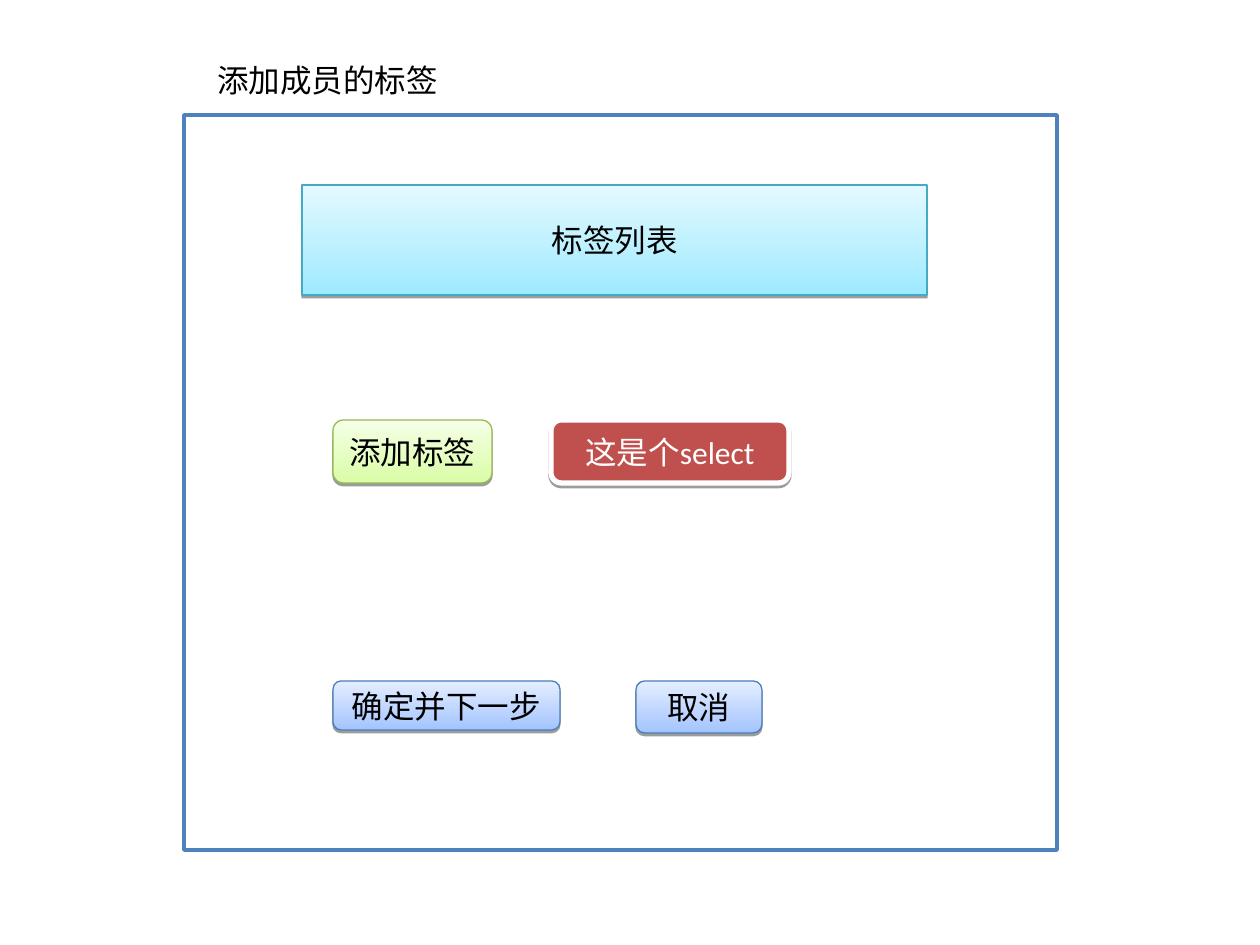
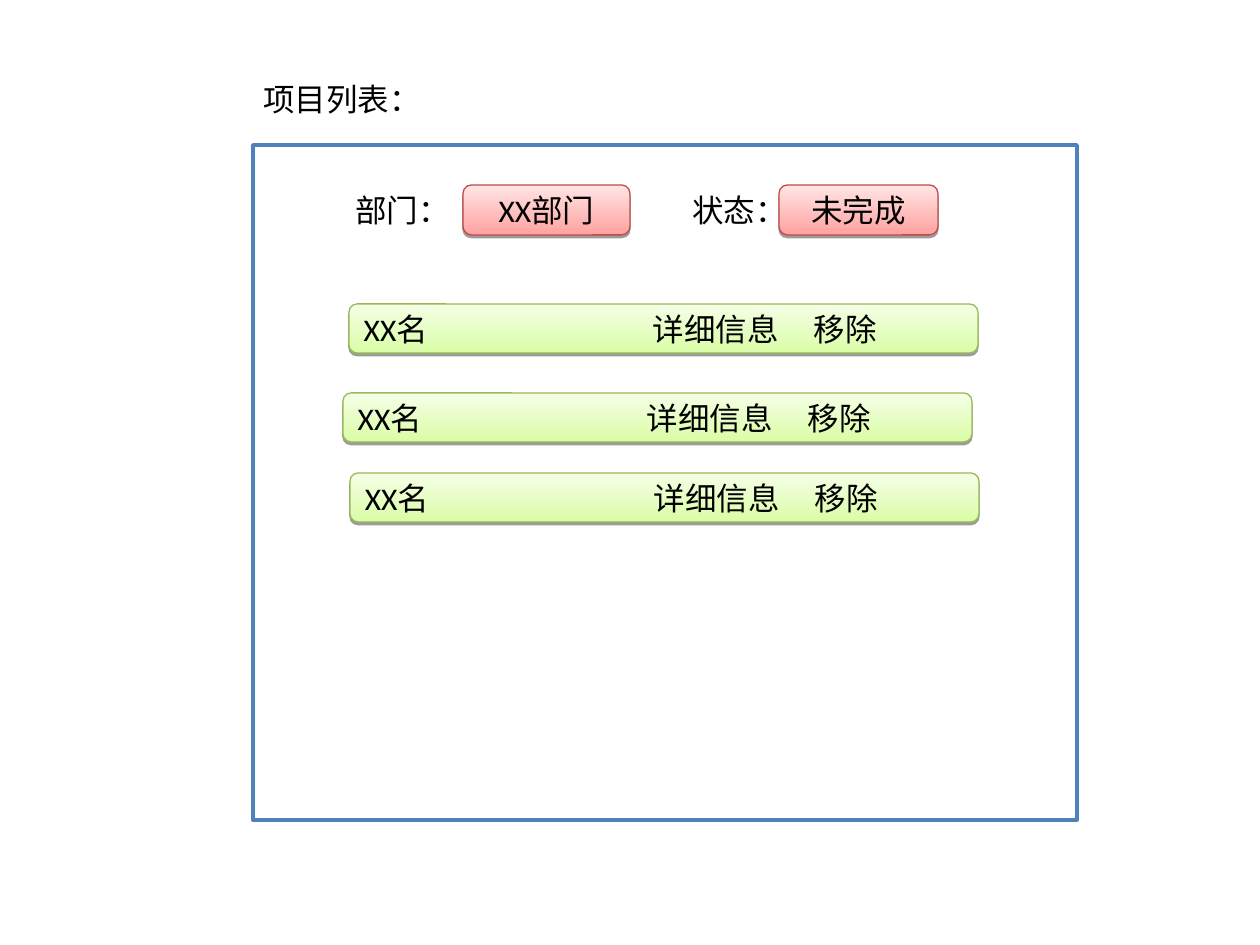
from lxml.etree import SubElement
from pptx import Presentation
from pptx.dml.color import RGBColor
from pptx.enum.shapes import MSO_SHAPE
from pptx.enum.text import MSO_ANCHOR, MSO_AUTO_SIZE, PP_ALIGN
from pptx.oxml.ns import qn
from pptx.util import Emu, Pt

# Shared look
BLACK = RGBColor(0x00, 0x00, 0x00)
WHITE = RGBColor(0xFF, 0xFF, 0xFF)
FRAME_BLUE = RGBColor(0x4F, 0x81, 0xBD)
FONT, FONT_SIZE = "Calibri", Pt(18)
SLIDE_SIZE = (1260, 945)

# Style: (fill colours from bottom to top, line colour, line points, text colour)
GREEN = ((RGBColor(0xDA, 0xFD, 0xA7), RGBColor(0xF5, 0xFF, 0xE6)),
         RGBColor(0x98, 0xB9, 0x54), 0.75, BLACK)
CYAN = ((RGBColor(0x9E, 0xEA, 0xFF), RGBColor(0xE4, 0xF9, 0xFF)),
        RGBColor(0x46, 0xAA, 0xC5), 0.75, BLACK)
BLUE = ((RGBColor(0xA3, 0xC4, 0xFF), RGBColor(0xE5, 0xEE, 0xFF)),
        RGBColor(0x4A, 0x7E, 0xBB), 0.75, BLACK)
PINK = ((RGBColor(0xFF, 0xA2, 0xA1), RGBColor(0xFF, 0xE5, 0xE5)),
        RGBColor(0xBE, 0x4B, 0x48), 0.75, BLACK)
RED = ((RGBColor(0xC0, 0x50, 0x4D),), WHITE, 3, WHITE)

# Project rows: three columns, each row with its own left and top
ROW_TEXT = "XX名\t详细信息\t移除"
ROW_TABS = (289, 450)
ROW_SIZE = (629, 49)
ROW_STARTS = [(349, 304), (343, 393), (350, 473)]

ROUND, RECT = MSO_SHAPE.ROUNDED_RECTANGLE, MSO_SHAPE.RECTANGLE

# Boxes are (left, top, width, height) in px
SCREENS = [
    {
        "frame": (184, 115, 873, 735),
        "labels": [("添加成员的标签", (205, 55, 246, 50))],
        "buttons": [
            ("添加标签", (333, 420, 159, 63), GREEN, ROUND),
            ("标签列表", (302, 185, 625, 110), CYAN, RECT),
            ("这是个select", (551, 420, 238, 63), RED, ROUND),
            ("确定并下一步", (333, 681, 227, 49), BLUE, ROUND),
            ("取消", (636, 681, 126, 52), BLUE, ROUND),
        ],
    },
    {
        "frame": (253, 145, 824, 675),
        "labels": [
            ("项目列表：", (251, 74, 183, 50)),
            ("部门：", (343, 185, 120, 50)),
            ("状态：", (680, 185, 120, 50)),
        ],
        "buttons": [
            ("XX部门", (463, 185, 167, 50), PINK, ROUND),
            ("未完成", (779, 185, 159, 50), PINK, ROUND),
        ] + [(ROW_TEXT, start + ROW_SIZE, GREEN, ROUND) for start in ROW_STARTS],
    },
]


def px(length):
    return Emu(round(length * 914400 / 126))


def write(shape, text, color, align):
    paragraph = shape.text_frame.paragraphs[0]
    paragraph.text = text
    paragraph.alignment = align
    paragraph.font.name = FONT
    paragraph.font.size = FONT_SIZE
    paragraph.font.color.rgb = color
    return paragraph


def set_tabs(paragraph, positions):
    properties = paragraph._p.get_or_add_pPr()
    tabs = SubElement(properties, qn("a:tabLst"))
    for position in positions:
        SubElement(tabs, qn("a:tab"), pos=str(px(position)), algn="l")
    properties.insert(0, tabs)  # tab stops precede the font defaults


def add_drop_shadow(shape):
    effects = shape._element.spPr.find(qn("a:effectLst"))
    shadow = SubElement(effects, qn("a:outerShdw"), blurRad="0",
                        dist=str(Pt(1.6)), dir="5400000", rotWithShape="0")
    color = SubElement(shadow, qn("a:srgbClr"), val="000000")
    SubElement(color, qn("a:alpha"), val="38000")


def add_panel(slide, kind, box, colors, line_color, line_width):
    shape = slide.shapes.add_shape(kind, *map(px, box))
    shape.shadow.inherit = False
    if len(colors) == 1:
        shape.fill.solid()
        shape.fill.fore_color.rgb = colors[0]
    else:
        shape.fill.gradient()
        shape.fill.gradient_angle = 90
        for stop, color in zip(shape.fill.gradient_stops, colors):
            stop.color.rgb = color
    shape.line.color.rgb = line_color
    shape.line.width = Pt(line_width)
    return shape


def add_button(slide, text, box, style, kind):
    colors, line_color, line_width, text_color = style
    shape = add_panel(slide, kind, box, colors, line_color, line_width)
    add_drop_shadow(shape)
    shape.text_frame.vertical_anchor = MSO_ANCHOR.MIDDLE
    is_row = "\t" in text
    align = PP_ALIGN.LEFT if is_row else PP_ALIGN.CENTER
    paragraph = write(shape, text, text_color, align)
    if is_row:
        set_tabs(paragraph, ROW_TABS)


def add_label(slide, text, box):
    label = slide.shapes.add_textbox(*map(px, box))
    label.text_frame.word_wrap = False
    label.text_frame.auto_size = MSO_AUTO_SIZE.SHAPE_TO_FIT_TEXT
    write(label, text, BLACK, PP_ALIGN.LEFT)


def main():
    presentation = Presentation()
    presentation.slide_width, presentation.slide_height = map(px, SLIDE_SIZE)
    for screen in SCREENS:
        slide = presentation.slides.add_slide(presentation.slide_layouts[6])
        add_panel(slide, RECT, screen["frame"], (WHITE,), FRAME_BLUE, 2)
        for label in screen["labels"]:
            add_label(slide, *label)
        for button in screen["buttons"]:
            add_button(slide, *button)
    presentation.save("out.pptx")


if __name__ == "__main__":
    main()
